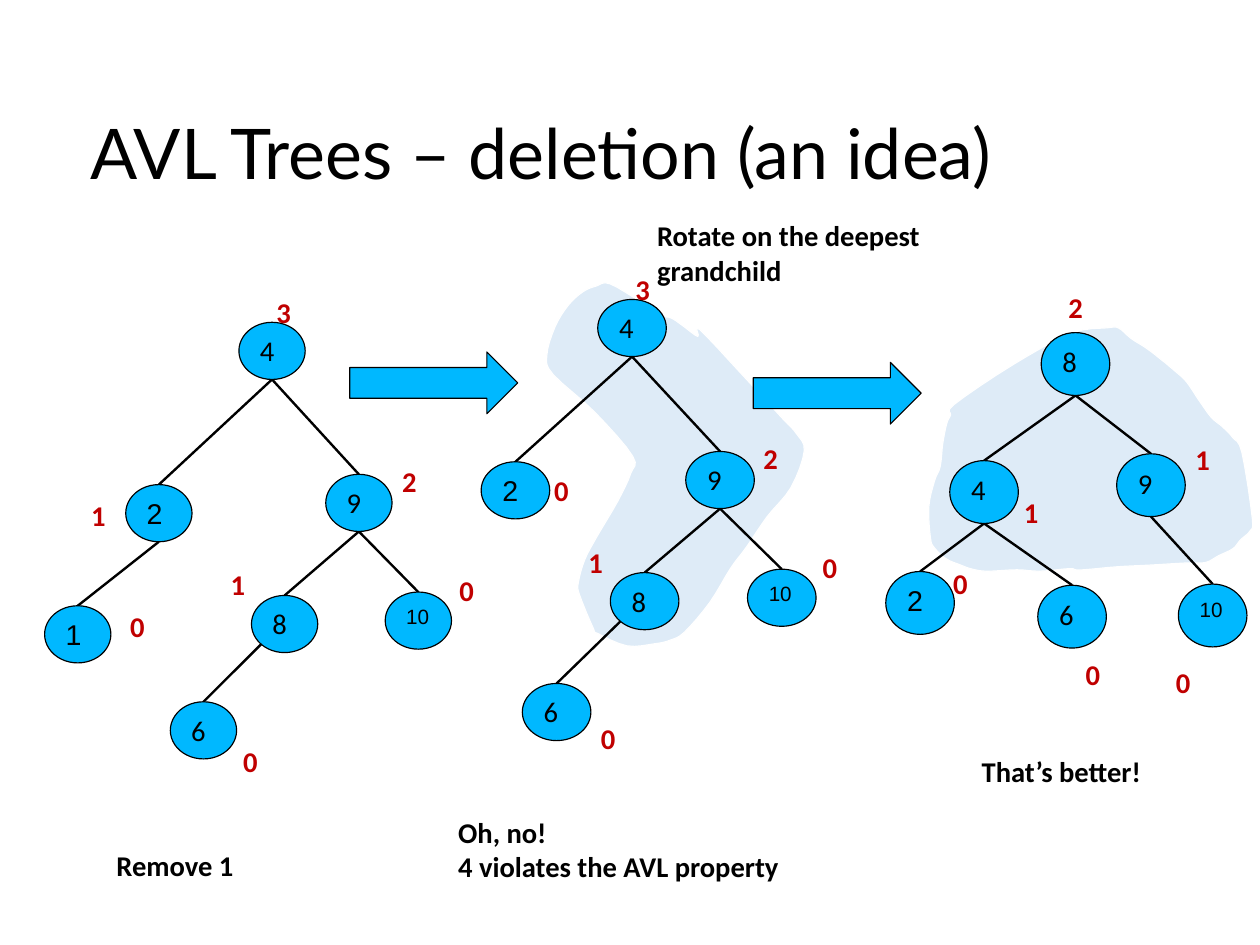
from collections import namedtuple

from lxml import etree
from pptx import Presentation
from pptx.dml.color import RGBColor
from pptx.enum.shapes import MSO_CONNECTOR, MSO_SHAPE
from pptx.enum.text import MSO_ANCHOR, PP_ALIGN
from pptx.oxml.ns import qn
from pptx.util import Cm, Inches, Pt

BLACK = RGBColor(0x00, 0x00, 0x00)
WHITE = RGBColor(0xFF, 0xFF, 0xFF)
RED = RGBColor(0xC0, 0x00, 0x00)
NODE_BLUE = RGBColor(0x00, 0xB8, 0xFF)
PALE_BLUE = RGBColor(0xDE, 0xEB, 0xF7)

ARIAL_KEYS = ("1", "2", "10")
CORNER = 0.15  # share of an ellipse's box outside its diagonal point

Box = namedtuple("Box", "left top width height")
# x, y: offset from the root; height_x, height_y: offset of the height label from the node
Node = namedtuple("Node", "key parent x y height height_x height_y")

TREES = [
    (Box(2.09, 2.82, 0.58, 0.5), [
        Node("4", None, 0, 0, "3", 0.23, -0.29),
        Node("9", "4", 0.76, 1.33, "2", 0.57, -0.14),
        Node("10", "9", 1.28, 2.36, "0", 0.55, -0.22),
        Node("2", "4", -0.99, 1.42, "1", -0.4, 0.07),
        Node("8", "9", 0.11, 2.39, "1", -0.28, -0.3),
        Node("6", "8", -0.6, 3.32, "0", 0.54, 0.32),
        Node("1", "2", -1.7, 2.48, "0", 0.65, -0.02),
    ]),
    (Box(5.23, 2.62, 0.6, 0.5), [
        Node("4", None, 0, 0, "3", 0.23, -0.29),
        Node("9", "4", 0.77, 1.33, "2", 0.58, -0.14),
        Node("10", "9", 1.31, 2.36, "0", 0.56, -0.22),
        Node("2", "4", -1.02, 1.42, "0", 0.54, 0.05),
        Node("8", "9", 0.11, 2.39, "1", -0.29, -0.29),
        Node("6", "8", -0.66, 3.36, "0", 0.59, 0.28),
    ]),
    (Box(9.11, 2.91, 0.6, 0.55), [
        Node("8", None, 0, 0, "2", 0.14, -0.42),
        Node("9", "8", 0.66, 1.06, "1", 0.59, -0.15),
        Node("10", "9", 1.2, 2.2, "0", -0.12, 0.66),
        Node("4", "8", -0.8, 1.12, "1", 0.55, 0.25),
        Node("2", "4", -1.36, 2.09, "0", 0.49, -0.1),
        Node("6", "4", -0.03, 2.21, "0", 0.32, 0.58),
    ]),
]

DEEP_BRANCH = [
    (6.21, 2.9), (6.54, 3.31), (6.87, 3.73), (6.98, 3.87), (7.04, 4.03), (6.9, 4.34),
    (6.67, 4.58), (6.47, 4.83), (6.32, 5), (6.11, 5.29), (5.87, 5.53), (5.74, 5.59),
    (5.61, 5.61), (5.36, 5.61), (5.11, 5.48), (5.08, 5.44), (4.98, 5.13), (4.98, 5.02),
    (5.05, 4.83), (5.17, 4.64), (5.38, 4.34), (5.51, 4.11), (5.54, 3.96), (5.24, 3.55),
    (4.9, 3.19), (4.86, 3.02), (4.95, 2.78), (5.08, 2.6), (5.22, 2.49), (5.34, 2.45),
    (5.46, 2.44), (5.73, 2.63), (5.88, 2.75), (5.97, 2.78), (6.06, 2.85), (6.19, 2.96)]
ROTATED_TOP = [
    (8.39, 3.44), (8.93, 3.14), (9.46, 2.91), (9.78, 2.89), (9.88, 2.9), (9.98, 3),
    (10.11, 3.1), (10.24, 3.22), (10.34, 3.32), (10.43, 3.42), (10.53, 3.6), (10.62, 3.75),
    (10.71, 3.84), (10.79, 3.94), (10.86, 4.08), (10.9, 4.66), (10.87, 4.77), (10.78, 4.84),
    (10.71, 4.91), (10.58, 4.96), (10.46, 5.01), (10.3, 5), (9.96, 4.99), (9.68, 4.98),
    (9.36, 4.98), (9.27, 4.96), (9.01, 4.96), (8.81, 4.93), (8.55, 4.92), (8.42, 4.89),
    (8.31, 4.84), (8.2, 4.78), (8.11, 4.68), (8.08, 4.59), (8.09, 4.31), (8.16, 4.09),
    (8.22, 3.97), (8.26, 3.77), (8.31, 3.6), (8.35, 3.53)]


def smooth(points, steps=4):
    """Closed Catmull-Rom curve through the points."""
    count = len(points)
    curve = []
    for index in range(count):
        a, b, c, d = (points[(index + shift) % count] for shift in (-1, 0, 1, 2))
        for step in range(steps):
            t = step / steps
            curve.append(tuple(
                q + t * (r - p + t * (2 * p - 5 * q + 4 * r - s
                                      + t * (3 * q - p - 3 * r + s))) / 2
                for p, q, r, s in zip(a, b, c, d)))
    return curve


def paint(shape, fill, line):
    shape.shadow.inherit = False
    shape.fill.solid()
    shape.fill.fore_color.rgb = fill
    shape.line.color.rgb = line
    shape.line.width = Pt(0.75)


def write(frame, text, size, font, color=BLACK, bold=False, spacing=None):
    frame.text = text
    for para in frame.paragraphs:
        para.alignment = PP_ALIGN.LEFT
        para.line_spacing = spacing
        for span in para.runs:
            span.font.size = Pt(size)
            span.font.name = font
            span.font.bold = bold
            span.font.color.rgb = color


def add_text(page, box, text, color=BLACK, wrap=True):
    frame = page.shapes.add_textbox(*map(Inches, box)).text_frame
    frame.word_wrap = wrap
    write(frame, text, 18, "Calibri", color, bold=True)


def add_title(page, box, text):
    frame = page.shapes.add_textbox(*map(Inches, box)).text_frame
    frame.word_wrap = True
    frame.vertical_anchor = MSO_ANCHOR.MIDDLE
    frame.margin_left = frame.margin_right = frame.margin_bottom = 0
    frame.margin_top = Inches(0.04)
    write(frame, text, 44, "Lato")


def add_highlight(page, points, turn):
    curve = [(Inches(x), Inches(y)) for x, y in smooth(points)]
    builder = page.shapes.build_freeform(*curve[0])
    builder.add_line_segments(curve[1:], close=True)
    blob = builder.convert_to_shape()
    paint(blob, PALE_BLUE, WHITE)
    blob.rotation = turn


def add_arrow(page, box):
    paint(page.shapes.add_shape(MSO_SHAPE.RIGHT_ARROW, *map(Inches, box)), NODE_BLUE, BLACK)


def add_edge(page, parent, child, from_corner):
    """Join the parent's bottom, or its lower left, to the child's top."""
    across, down = (CORNER, 1 - CORNER) if from_corner else (0.5, 1)
    ends = (parent.left + across * parent.width, parent.top + down * parent.height,
            child.left + child.width / 2, child.top)
    edge = page.shapes.add_connector(MSO_CONNECTOR.STRAIGHT, *map(Inches, ends))
    edge.line.color.rgb = BLACK
    edge.line.width = Pt(1.5)
    etree.SubElement(edge._element.spPr, qn("a:effectLst"))


def add_tree(page, root, nodes):
    """Draw a tree whose root fills the given box."""
    boxes = {node.key: root._replace(left=root.left + node.x, top=root.top + node.y)
             for node in nodes}
    for node in nodes:
        if node.parent:
            from_corner = (node.parent, node.key) == ("8", "6")
            add_edge(page, boxes[node.parent], boxes[node.key], from_corner)
    for node in nodes:
        box = boxes[node.key]
        oval = page.shapes.add_shape(MSO_SHAPE.OVAL, *map(Inches, box))
        paint(oval, NODE_BLUE, BLACK)
        oval.text_frame.word_wrap = True
        oval.text_frame.vertical_anchor = MSO_ANCHOR.TOP
        write(oval.text_frame, node.key, 13 if node.key == "10" else 18,
              "Arial" if node.key in ARIAL_KEYS else "Calibri", spacing=0.93)
        label = Box(box.left + node.height_x, box.top + node.height_y, 0.34, 0.38)
        add_text(page, label, node.height, RED, wrap=False)


def main():
    deck = Presentation()
    deck.slide_width, deck.slide_height = Cm(28), Cm(21)
    page = deck.slides.add_slide(deck.slide_layouts[6])
    add_highlight(page, DEEP_BRANCH, 355.5)
    add_highlight(page, ROTATED_TOP, 355)
    add_title(page, Box(0.79, 0.62, 9.25, 1.37), "AVL Trees – deletion (an idea)")
    add_text(page, Box(0.92, 7.37, 1.72, 0.38), "Remove 1")
    add_text(page, Box(3.91, 7.08, 3.41, 0.66), "Oh, no!\n4 violates the AVL property")
    add_text(page, Box(8.49, 6.55, 3.41, 0.38), "That’s better!")
    for left, top in ((3.06, 3.08), (6.59, 3.17)):
        add_arrow(page, Box(left, top, 1.47, 0.54))
    for root, nodes in TREES:
        add_tree(page, root, nodes)
    add_text(page, Box(5.65, 1.86, 3.38, 0.67), "Rotate on the deepest grandchild")
    deck.save("out.pptx")


if __name__ == "__main__":
    main()
